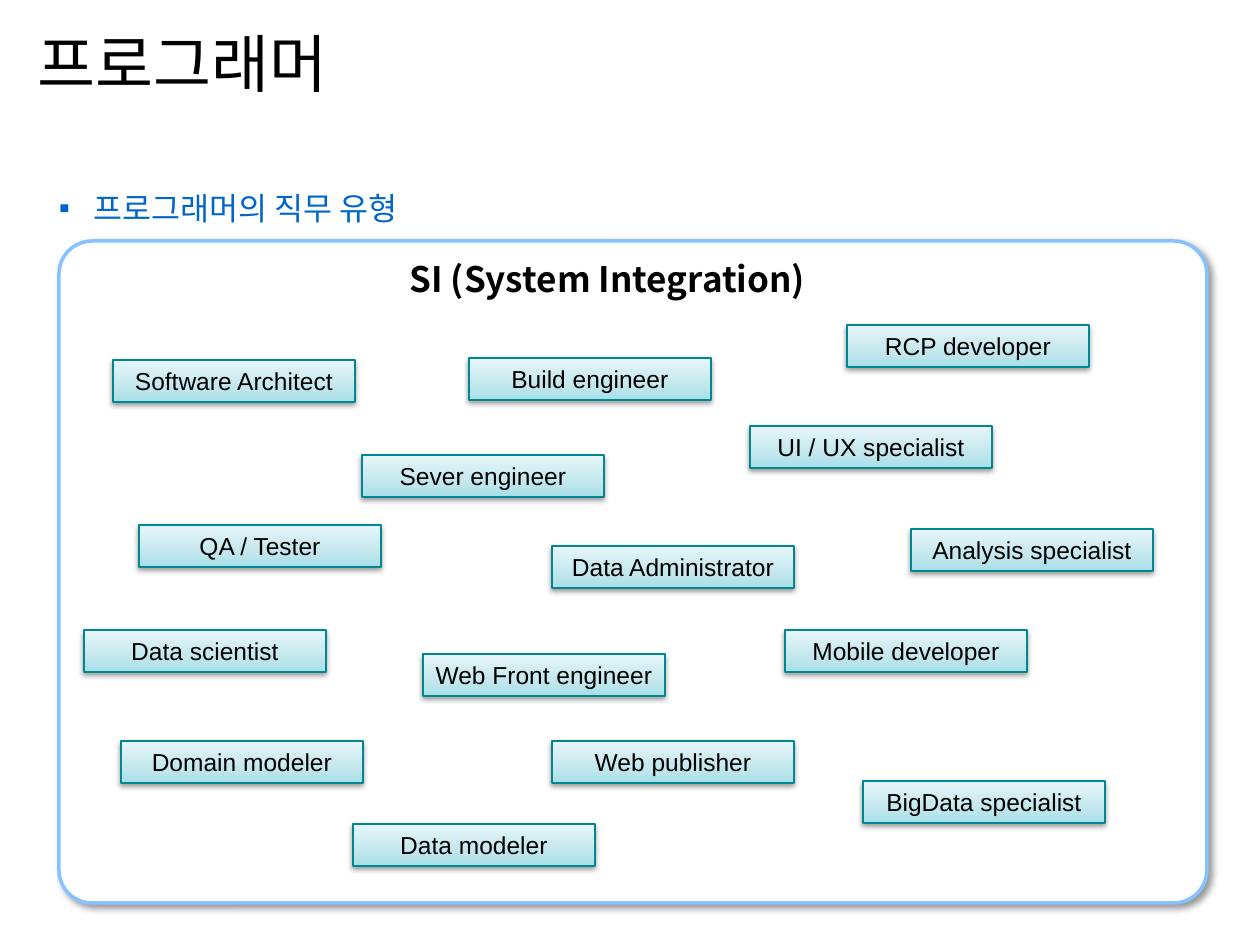
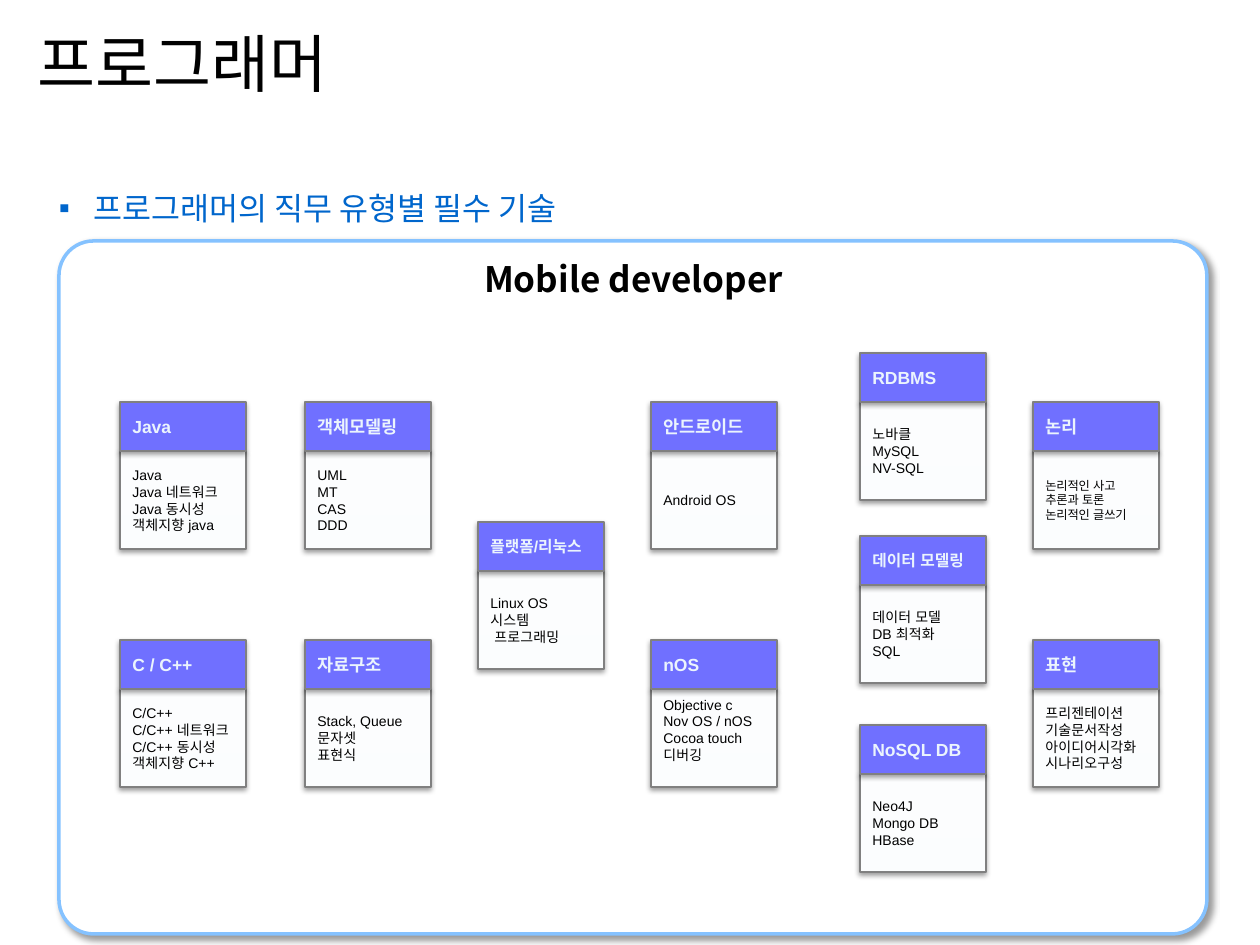
from lxml import etree
from pptx import Presentation
from pptx import util as u
from pptx.dml.color import RGBColor
from pptx.enum import shapes, text
from pptx.oxml import ns

TITLE = "프로그래머"
JOBS_TOPIC = "프로그래머의 직무 유형"
SKILLS_TOPIC = "프로그래머의 직무 유형별 필수 기술"
JOBS_HEADING = "SI (System Integration)"
SKILLS_HEADING = "Mobile developer"

# Job title, left, top
JOBS = [
    ("Software Architect", 113, 360),
    ("UI / UX specialist", 750, 426),
    ("Build engineer", 469, 358),
    ("RCP developer", 847, 325),
    ("Sever engineer", 362, 455),
    ("Analysis specialist", 911, 529),
    ("Mobile developer", 785, 630),
    ("Web Front engineer", 423, 654),
    ("QA / Tester", 139, 525),
    ("Data scientist", 84, 630),
    ("Web publisher", 552, 741),
    ("Data Administrator", 552, 546),
    ("BigData specialist", 863, 781),
    ("Data modeler", 353, 824),
    ("Domain modeler", 121, 741),
]

# Each column: left, then its cards as (top, header, skills)
UPPER, LOWER = 402, 640
SKILL_COLUMNS = [
    (120, [(UPPER, "Java", ["Java", "Java 네트워크", "Java 동시성", "객체지향 java"]),
           (LOWER, "C / C++", ["C/C++", "C/C++ 네트워크", "C/C++ 동시성", "객체지향 C++"])]),
    (305, [(UPPER, "객체모델링", ["UML", "MT", "CAS", "DDD"]),
           (LOWER, "자료구조", ["Stack, Queue", "문자셋", "표현식"])]),
    (478, [(522, "플랫폼/리눅스", ["Linux OS", "시스템", "프로그래밍"])]),
    (651, [(UPPER, "안드로이드", ["Android OS"]),
           (LOWER, "nOS", ["Objective c", "Nov OS / nOS", "Cocoa touch", "디버깅"])]),
    (860, [(353, "RDBMS", ["노바클", "MySQL", "NV-SQL"]),
           (536, "데이터 모델링", ["데이터 모델", "DB 최적화", "SQL"]),
           (725, "NoSQL DB", ["Neo4J", "Mongo DB", "HBase"])]),
    (1033, [(UPPER, "논리", ["논리적인 사고", "추론과 토론", "논리적인 글쓰기"]),
            (LOWER, "표현", ["프리젠테이션", "기술문서작성", "아이디어시각화", "시나리오구성"])]),
]
HEADER_SIZES = {"플랫폼/리눅스": 9, "데이터 모델링": 9}
SKILL_SIZES = {"논리": 7}
BOTTOM_INSETS = {"nOS": 23}
INDENTED_SKILLS = {"프로그래밍": 4}

JOB_WIDTH, JOB_HEIGHT = 242, 42
CARD_WIDTH, HEADER_HEIGHT, SKILLS_HEIGHT = 126, 49, 98

ARIAL, NOTO = "Arial", "Noto Sans CJK KR"
BLACK = RGBColor(0x00, 0x00, 0x00)
WHITE = RGBColor(0xFF, 0xFF, 0xFF)
TOPIC_BLUE = RGBColor(0x00, 0x66, 0xCC)
PANEL_BLUE = RGBColor(0x85, 0xC2, 0xFF)
JOB_TEAL = RGBColor(0x00, 0x87, 0x91)
CARD_GRAY = RGBColor(0x80, 0x80, 0x80)
HEADER_VIOLET = RGBColor(0x70, 0x70, 0xFF)
HEADER_TEXT = RGBColor(0xEB, 0xF4, 0xFD)
# Gradients run from bottom to top: position in percent, colour
JOB_GRADIENT = [(0, RGBColor(0xA7, 0xDF, 0xE8)), (35, RGBColor(0xC2, 0xE7, 0xED)),
                (100, RGBColor(0xE7, 0xF6, 0xF9))]
SKILLS_GRADIENT = [(0, RGBColor(0xFB, 0xFD, 0xFE)), (35, RGBColor(0xFC, 0xFD, 0xFE)),
                   (100, RGBColor(0xFE, 0xFE, 0xFF))]
# Shadows: opacity in percent, blur and distance in points, direction in degrees
PANEL_SHADOW = (40, 4, 3, 45)
BOX_SHADOW = (38, 3.1, 1.6, 90)


def px(length):
    return u.Emu(round(length * 914400 / 126))


def add_element(parent, tag, **attributes):
    element = etree.SubElement(parent, ns.qn(tag))
    for name, value in attributes.items():
        element.set(name, str(value))
    return element


def add_shadow(shape, opacity, blur, distance, direction):
    shape.shadow.inherit = False
    effects = shape._element.spPr.find(ns.qn("a:effectLst"))
    shadow = add_element(effects, "a:outerShdw", blurRad=u.Pt(blur), dist=u.Pt(distance),
                         dir=direction * 60000, algn="ctr", rotWithShape=0)
    color = add_element(shadow, "a:srgbClr", val=BLACK)
    add_element(color, "a:alpha", val=opacity * 1000)


def fill_gradient(shape, stops):
    shape.fill.gradient()
    shape.fill.gradient_angle = 90
    stop_list = shape._element.spPr.find(".//" + ns.qn("a:gsLst"))
    for stop in list(stop_list):
        stop_list.remove(stop)
    for position, color in stops:
        stop = add_element(stop_list, "a:gs", pos=position * 1000)
        add_element(stop, "a:srgbClr", val=color)


def format_text(frame, size, font_name, color, bold=False, align=text.PP_ALIGN.LEFT):
    for paragraph in frame.paragraphs:
        paragraph.alignment = align
        for run in paragraph.runs:
            run.font.size = u.Pt(size)
            run.font.name = font_name
            run.font.bold = bold
            run.font.color.rgb = color
            add_element(run._r.get_or_add_rPr(), "a:ea", typeface=font_name)


def add_box(parent, kind, bounds, fill, line_color, line_width, shadow):
    shape = parent.shapes.add_shape(kind, *map(px, bounds))
    if isinstance(fill, list):
        fill_gradient(shape, fill)
    else:
        shape.fill.solid()
        shape.fill.fore_color.rgb = fill
    shape.line.color.rgb = line_color
    shape.line.width = u.Pt(line_width)
    add_shadow(shape, *shadow)
    return shape


def add_label_box(parent, bounds, lines, fill, line_color):
    shape = add_box(parent, shapes.MSO_SHAPE.RECTANGLE, bounds, fill, line_color, 0.75, BOX_SHADOW)
    frame = shape.text_frame
    frame.text = "\n".join(lines)
    frame.vertical_anchor = text.MSO_ANCHOR.MIDDLE
    return frame


def add_topic(slide, topic, width):
    frame = slide.shapes.add_textbox(*map(px, (59, 189, width, 38))).text_frame
    frame.text = topic
    frame.word_wrap = False
    frame.vertical_anchor = text.MSO_ANCHOR.MIDDLE
    frame.margin_left = frame.margin_top = frame.margin_right = frame.margin_bottom = 0
    properties = frame.paragraphs[0]._p.get_or_add_pPr()
    properties.set("marL", str(px(35)))
    properties.set("indent", str(-px(35)))
    add_element(add_element(properties, "a:buClr"), "a:srgbClr", val=TOPIC_BLUE)
    add_element(properties, "a:buFont", typeface=ARIAL)
    add_element(properties, "a:buChar", char="▪")
    format_text(frame, 18, NOTO, TOPIC_BLUE)


def add_heading(slide, heading, left, width, align):
    frame = slide.shapes.add_textbox(*map(px, (left, 251, width, 55))).text_frame
    frame.text = heading
    frame.word_wrap = False
    format_text(frame, 20, NOTO, BLACK, bold=True, align=align)


def add_base_slide(presentation, topic, topic_width, panel_height):
    """Add a slide with the shared title, topic line and rounded panel."""
    slide = presentation.slides.add_slide(presentation.slide_layouts[5])
    title = slide.shapes.title
    title.left, title.top, title.width, title.height = map(px, (25, 13, 1134, 98))
    title.text_frame.text = TITLE
    title.text_frame.vertical_anchor = text.MSO_ANCHOR.MIDDLE
    format_text(title.text_frame, 36, ARIAL, BLACK)
    add_topic(slide, topic, topic_width)
    panel = add_box(slide, shapes.MSO_SHAPE.ROUNDED_RECTANGLE, (59, 241, 1148, panel_height),
                    WHITE, PANEL_BLUE, 2, PANEL_SHADOW)
    panel.adjustments[0] = 0.05
    return slide


def add_skill_card(slide, left, top, header, skills):
    card = slide.shapes.add_group_shape()
    skills_frame = add_label_box(card, (left, top + HEADER_HEIGHT, CARD_WIDTH, SKILLS_HEIGHT),
                                 skills, SKILLS_GRADIENT, CARD_GRAY)
    skills_frame.margin_bottom = px(BOTTOM_INSETS.get(header, 6))
    for paragraph in skills_frame.paragraphs:
        if paragraph.text in INDENTED_SKILLS:
            indent = px(INDENTED_SKILLS[paragraph.text])
            paragraph._p.get_or_add_pPr().set("marL", str(indent))
    format_text(skills_frame, SKILL_SIZES.get(header, 8), ARIAL, BLACK)
    header_frame = add_label_box(card, (left, top, CARD_WIDTH, HEADER_HEIGHT),
                                 [header], HEADER_VIOLET, CARD_GRAY)
    format_text(header_frame, HEADER_SIZES.get(header, 10), ARIAL, HEADER_TEXT, bold=True)


def add_jobs_slide(presentation):
    slide = add_base_slide(presentation, JOBS_TOPIC, 364, 662)
    add_heading(slide, JOBS_HEADING, 397, 474, text.PP_ALIGN.LEFT)
    for job, left, top in JOBS:
        frame = add_label_box(slide, (left, top, JOB_WIDTH, JOB_HEIGHT),
                              [job], JOB_GRADIENT, JOB_TEAL)
        frame.word_wrap = False
        format_text(frame, 14, ARIAL, BLACK, align=text.PP_ALIGN.CENTER)


def add_skills_slide(presentation):
    slide = add_base_slide(presentation, SKILLS_TOPIC, 544, 693)
    add_heading(slide, SKILLS_HEADING, 457, 353, text.PP_ALIGN.CENTER)
    for left, cards in SKILL_COLUMNS:
        for top, header, skills in cards:
            add_skill_card(slide, left, top, header, skills)


def main():
    presentation = Presentation()
    presentation.slide_width, presentation.slide_height = px(1260), px(945)
    add_jobs_slide(presentation)
    add_skills_slide(presentation)
    presentation.save("out.pptx")


if __name__ == "__main__":
    main()
